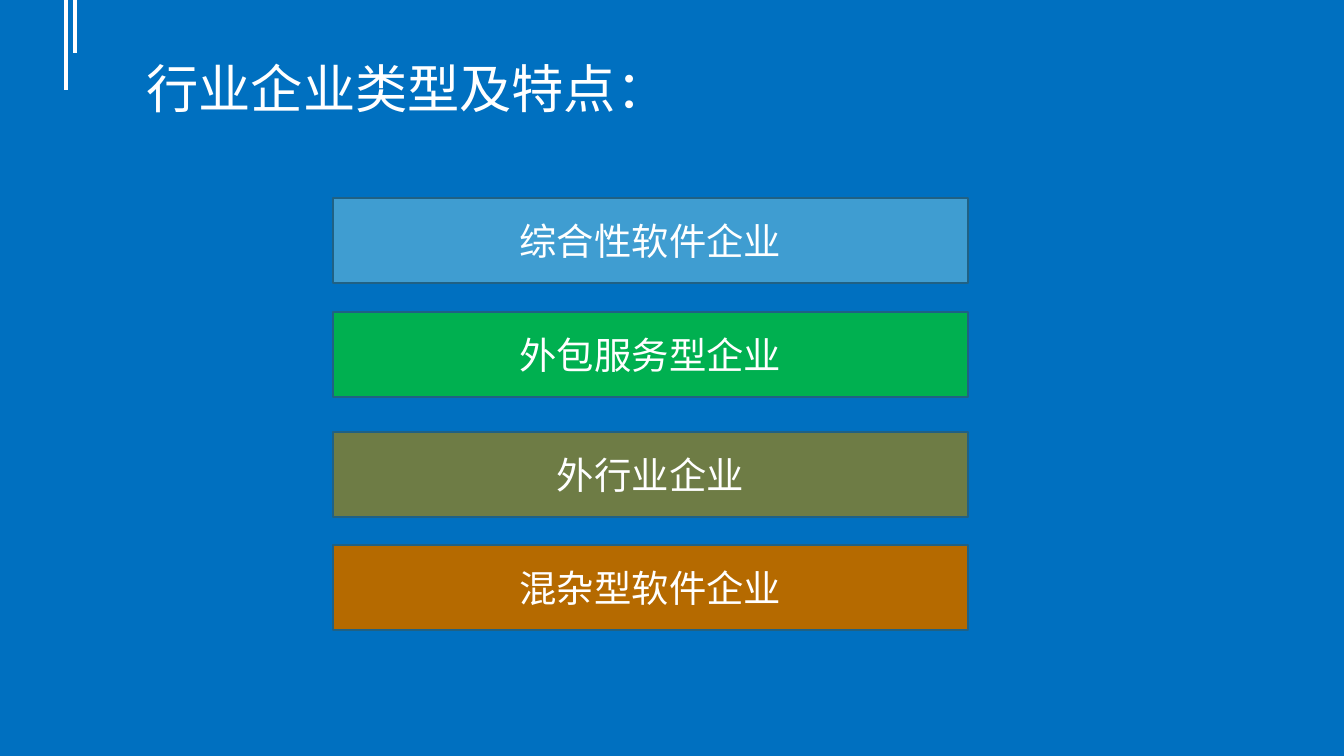
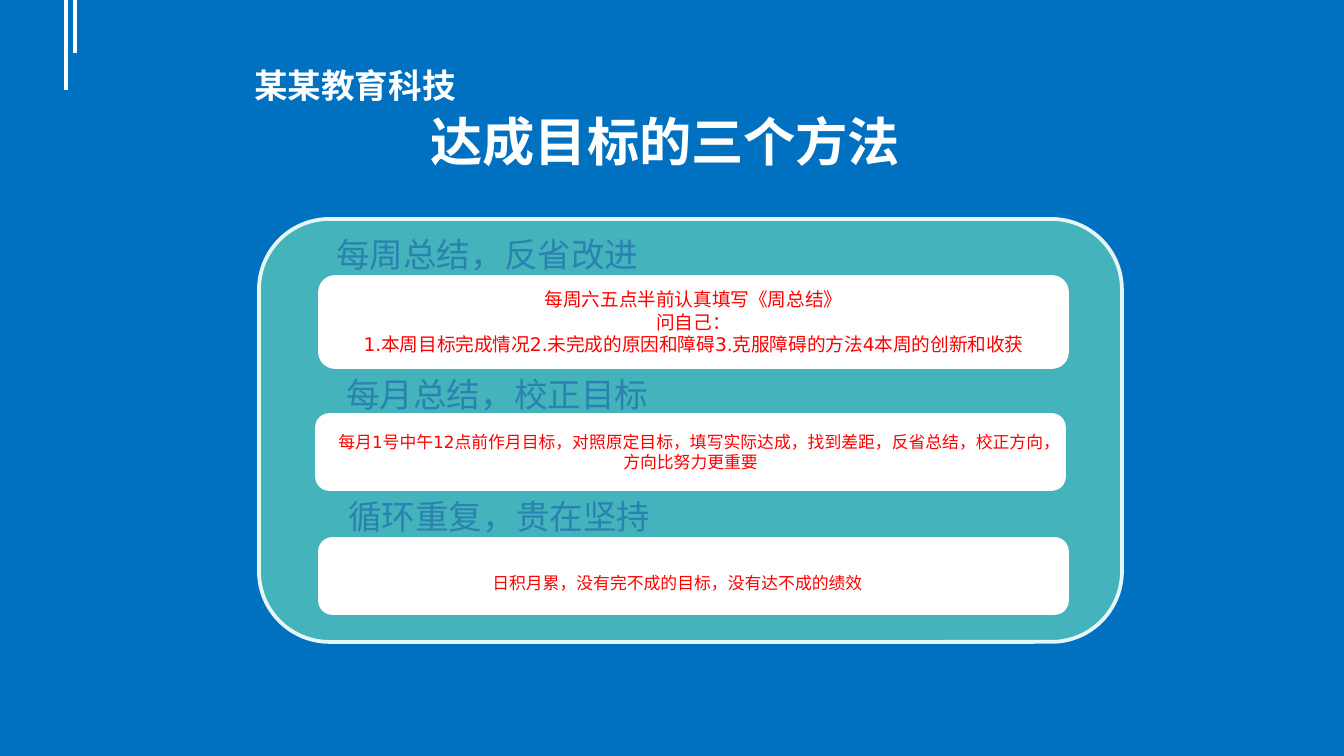
from pptx import Presentation
from pptx import util as u
from pptx.dml.color import RGBColor
from pptx.enum import shapes, text
from lxml import etree

PX = 9144000 / 1344
FONT = "DejaVu Sans"
COLORS = {
    "background": "0070C0", "white": "FFFFFF", "bar_edge": "206184",
    "blue": "3F9DD1", "green": "00B050", "olive": "6E7C45", "orange": "B56A00",
    "panel": "44B3BB", "panel_edge": "E6F5F6", "heading": "2A82B0", "red": "FF0000",
}
LEFT, CENTER = text.PP_ALIGN.LEFT, text.PP_ALIGN.CENTER
TOP, MIDDLE = text.MSO_ANCHOR.TOP, text.MSO_ANCHOR.MIDDLE
DRAWING = "{http://schemas.openxmlformats.org/drawingml/2006/main}"


def write(box, lines, size, color, align=LEFT, anchor=TOP, bold=False):
    """Fill a shape, text box or placeholder with one paragraph per line."""
    frame = box.text_frame
    frame.word_wrap = True
    frame.auto_size = text.MSO_AUTO_SIZE.NONE
    frame.vertical_anchor = anchor
    for number, line in enumerate(lines):
        para = frame.add_paragraph() if number else frame.paragraphs[0]
        para.alignment = align
        span = para.add_run()
        span.text = line
        span.font.name = FONT
        span.font.size = u.Pt(size)
        span.font.bold = bold
        span.font.color.rgb = RGBColor.from_string(COLORS[color])


def add_block(page, kind, place, fill, edge, width):
    """Add a flat preset shape; place is left, top, width, height in px."""
    block = page.shapes.add_shape(kind, *[round(n * PX) for n in place])
    block.shadow.inherit = False
    block.fill.solid()
    block.fill.fore_color.rgb = RGBColor.from_string(COLORS[fill])
    block.line.color.rgb = RGBColor.from_string(COLORS[edge])
    block.line.width = u.Pt(width)
    return block


deck = Presentation()
deck.slide_width, deck.slide_height = round(1344 * PX), round(756 * PX)
backdrop = deck.slide_master.background.fill
backdrop.solid()
backdrop.fore_color.rgb = RGBColor.from_string(COLORS["background"])

# Both slides: title and two hanging lines
titles = [
    ("行业企业类型及特点：", (133, 50, 962, 77), TOP, False),
    ("达成目标的三个方法", (417, 103, 785, 75), MIDDLE, True),
]
pages = []
for wording, place, anchor, bold in titles:
    page = deck.slides.add_slide(deck.slide_layouts[5])
    pages.append(page)
    for x, length in [(66, 90), (75, 53)]:
        line = page.shapes.add_connector(
            shapes.MSO_CONNECTOR.STRAIGHT,
            round(x * PX), 0, round(x * PX), round(length * PX))
        line.line.color.rgb = RGBColor.from_string(COLORS["white"])
        line.line.width = u.Pt(2.25)
        etree.SubElement(line._element.spPr, DRAWING + "effectLst")
    title = page.shapes.title
    title.left, title.top, title.width, title.height = [round(n * PX) for n in place]
    write(title, [wording], 28, "white", anchor=anchor, bold=bold)

types_page, methods_page = pages

# Slide 1: company types
company_types = [
    ("综合性软件企业", "blue", 198),
    ("外包服务型企业", "green", 312),
    ("外行业企业", "olive", 432),
    ("混杂型软件企业", "orange", 545),
]
for name, fill, top in company_types:
    bar = add_block(types_page, shapes.MSO_SHAPE.RECTANGLE,
                    (333, top, 635, 85), fill, "bar_edge", 1)
    write(bar, [name], 20, "white", CENTER, MIDDLE)

# Slide 2: panel with three methods
add_block(methods_page, shapes.MSO_SHAPE.ROUNDED_RECTANGLE,
          (259, 219, 863, 423), "panel", "panel_edge", 2)
methods = [
    ("每周总结，反省改进", (323, 227), (320, 277, 747, 90), 10,
     ["每周六五点半前认真填写《周总结》", "问自己：",
      "1.本周目标完成情况2.未完成的原因和障碍3.克服障碍的方法4本周的创新和收获"]),
    ("每月总结，校正目标", (333, 367), (317, 415, 747, 74), 9,
     ["每月1号中午12点前作月目标，对照原定目标，填写实际达成，找到差距，"
      "反省总结，校正方向，方向比努力更重要"]),
    ("循环重复，贵在坚持", (335, 489), (320, 539, 747, 74), 9,
     ["日积月累，没有完不成的目标，没有达不成的绩效"]),
]
for heading, corner, place, size, lines in methods:
    card = add_block(methods_page, shapes.MSO_SHAPE.ROUNDED_RECTANGLE,
                     place, "white", "white", 2)
    write(card, lines, size, "red", CENTER, MIDDLE)
    label = methods_page.shapes.add_textbox(
        *[round(n * PX) for n in (*corner, 465, 54)])
    write(label, [heading], 18, "heading")

# The last card's line sits slightly left of and below the centre
card.text_frame.margin_right = round(46 * PX)
card.text_frame.margin_top = round(20 * PX)

# Organisation name above the title
organisation = methods_page.shapes.add_textbox(
    *[round(n * PX) for n in (241, 58, 276, 86)])
write(organisation, ["某某教育科技"], 18, "white", bold=True)

deck.save("out.pptx")
